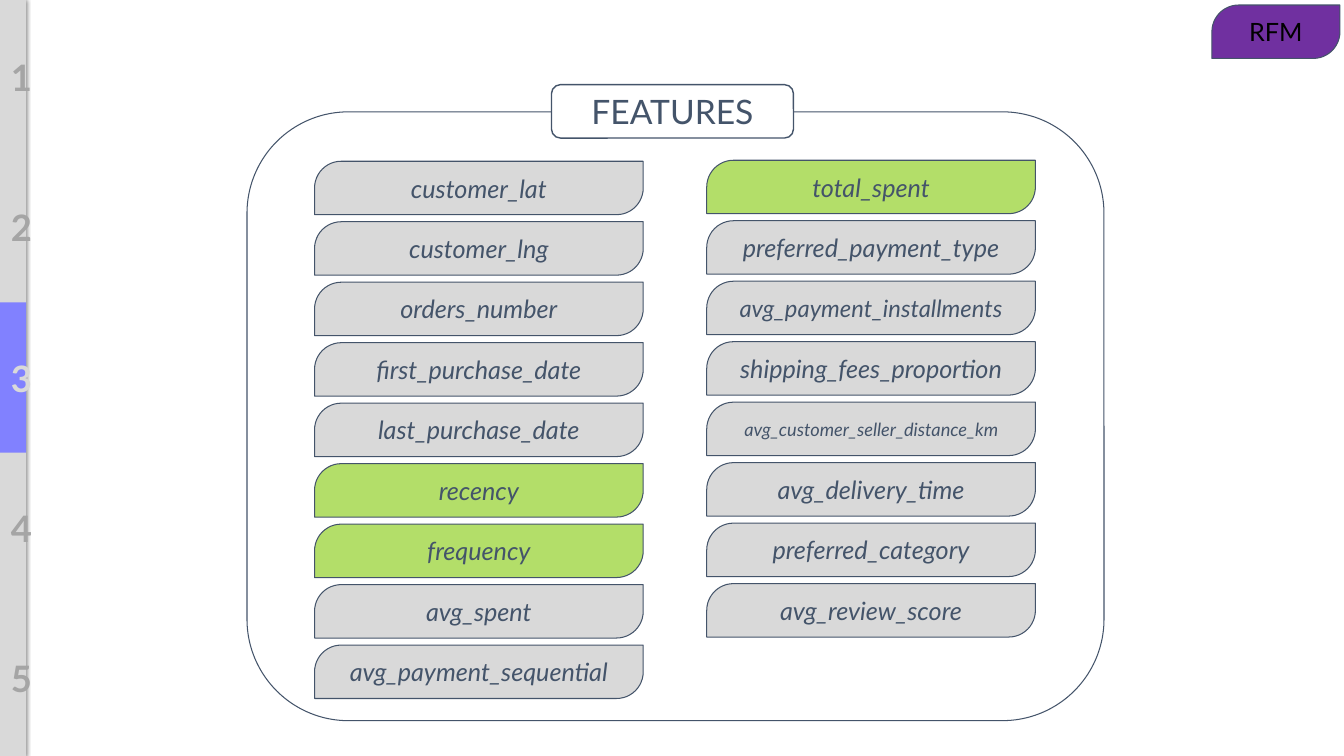
from lxml import etree
from pptx import Presentation
from pptx.dml.color import RGBColor
from pptx.enum.shapes import MSO_SHAPE
from pptx.enum.text import MSO_ANCHOR, PP_ALIGN
from pptx.oxml import parse_xml
from pptx.util import Inches, Pt

RECT = MSO_SHAPE.RECTANGLE
ROUND = MSO_SHAPE.ROUNDED_RECTANGLE
LEAF = MSO_SHAPE.ROUND_2_DIAG_RECTANGLE
MIDDLE = MSO_ANCHOR.MIDDLE
CENTER = PP_ALIGN.CENTER


class Theme:
    font = "Lato"
    ink = "44546A"
    gray = "D9D9D9"
    dim = "A5A5A5"
    white = "FFFFFF"
    black = "000000"
    blue = "8181FF"
    green = "B3DE69"
    purple = "7030A0"
    title = 24
    step = 26
    body = 18
    small = 17
    tiny = 13


def write(shape, text, size, color, bold=False, italic=False):
    frame = shape.text_frame
    frame.word_wrap = True
    frame.text = text
    para = frame.paragraphs[0]
    para.alignment = CENTER
    font = para.runs[0].font
    font.name, font.size = Theme.font, Pt(size)
    font.bold, font.italic = bold, italic
    font.color.rgb = RGBColor.from_string(color)


def draw(kind, left, top, width, height, fill, line=0):
    shape = slide.shapes.add_shape(
        kind, Inches(left), Inches(top), Inches(width), Inches(height))
    shape.fill.solid()
    shape.fill.fore_color.rgb = RGBColor.from_string(fill)
    if line:
        shape.line.color.rgb = RGBColor.from_string(Theme.ink)
        shape.line.width = Pt(line)
    else:
        shape.line.fill.background()
    shape.shadow.inherit = False
    if kind == LEAF:
        shape.adjustments[0] = 0.5
    shape.text_frame.vertical_anchor = MIDDLE
    return shape


deck = Presentation()
deck.slide_width, deck.slide_height = Inches(13.33), Inches(7.5)
slide = deck.slides.add_slide(deck.slide_layouts[6])

# Side bar with a soft shadow
bar = draw(RECT, 0, 0, 0.26, 7.5, Theme.gray)
ns = "http://schemas.openxmlformats.org/drawingml/2006/main"
glow = parse_xml(
    f'<a:outerShdw xmlns:a="{ns}" blurRad="{Pt(3)}" dist="0" dir="0">'
    f'<a:srgbClr val="{Theme.black}"><a:alpha val="50000"/></a:srgbClr>'
    '</a:outerShdw>')
effects = bar.element.spPr.find(etree.QName(ns, "effectLst").text)
effects.append(glow)
draw(RECT, 0, 3, 0.26, 1.49, Theme.blue)

# Step numbers, the third one active
for i in range(5):
    box = slide.shapes.add_textbox(
        Inches(0.01), Inches(0.5 + 1.49 * i), Inches(0.25), Inches(0.54))
    color = Theme.gray if i == 2 else Theme.dim
    write(box, str(i + 1), Theme.step, color, bold=True)

# Frame and heading
draw(ROUND, 2.45, 1.11, 8.5, 6.04, Theme.white, 0.75)
head = draw(ROUND, 5.47, 0.84, 2.4, 0.53, Theme.white, 1)
write(head, "FEATURES", Theme.title, Theme.ink)

# Feature columns: left, top, names
columns = [
    (3.12, 1.6, ["customer_lat", "customer_lng", "orders_number",
                 "first_purchase_date", "last_purchase_date", "recency",
                 "frequency", "avg_spent", "avg_payment_sequential"]),
    (7.01, 1.59, ["total_spent", "preferred_payment_type",
                  "avg_payment_installments", "shipping_fees_proportion",
                  "avg_customer_seller_distance_km", "avg_delivery_time",
                  "preferred_category", "avg_review_score"]),
]
chosen = {"recency", "frequency", "total_spent"}
sizes = {"avg_payment_installments": Theme.small,
         "avg_customer_seller_distance_km": Theme.tiny}
for left, top, names in columns:
    for row, name in enumerate(names):
        fill = Theme.green if name in chosen else Theme.gray
        chip = draw(LEAF, left, top + 0.6 * row, 3.26, 0.53, fill, 0.75)
        write(chip, name, sizes.get(name, Theme.body), Theme.ink, italic=True)

# Corner tag
tag = draw(LEAF, 12.02, 0.05, 1.27, 0.53, Theme.purple, 0.75)
write(tag, "RFM", Theme.body, Theme.black)

deck.save("out.pptx")
